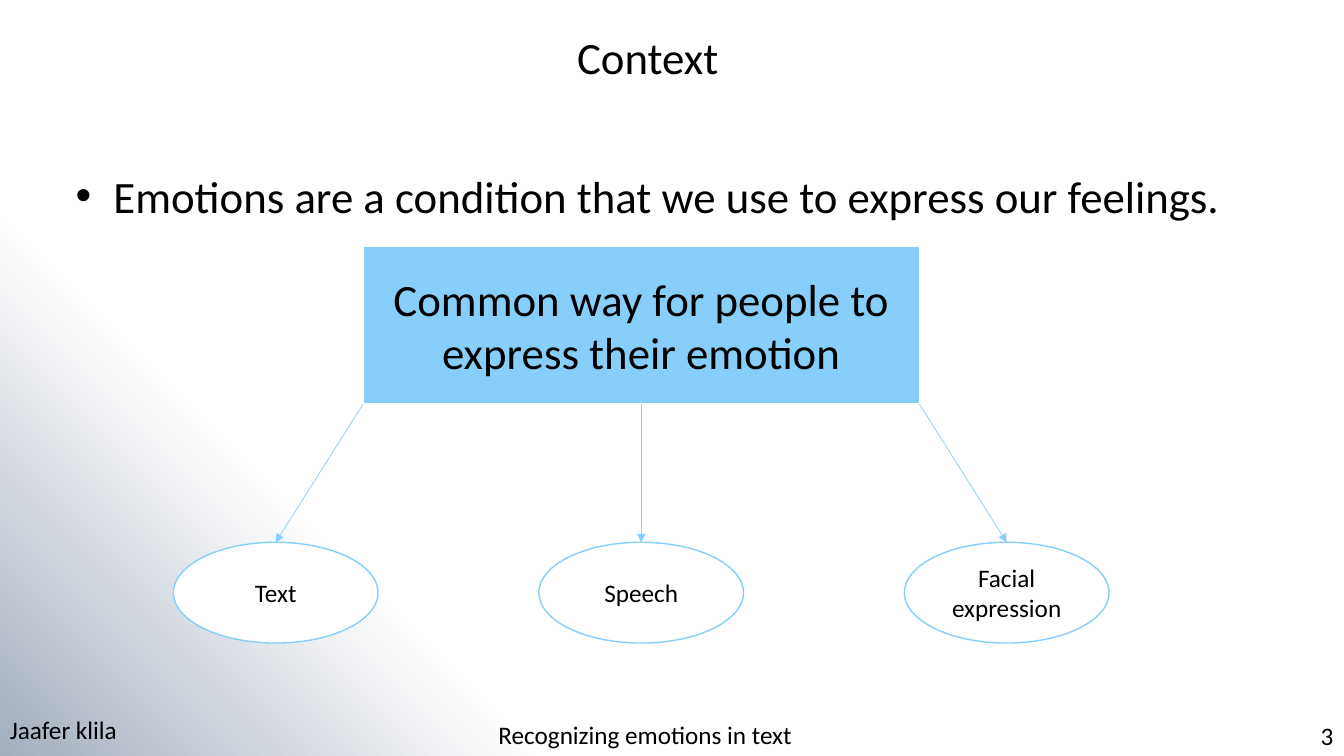
from lxml.etree import SubElement
from pptx import Presentation
from pptx.dml.color import RGBColor
from pptx.enum.shapes import MSO_CONNECTOR, MSO_SHAPE
from pptx.enum.text import MSO_ANCHOR, MSO_AUTO_SIZE, PP_ALIGN
from pptx.oxml.ns import qn
from pptx.util import Inches, Pt

SKY, WHITE, BLACK, SLATE = "87CEFA", "FFFFFF", "000000", "A3AEBD"


def color(hex_code):
    """Turn a hex string into a colour."""
    return RGBColor.from_string(hex_code)


def write(shape, text, size, align=PP_ALIGN.LEFT, anchor=MSO_ANCHOR.TOP, wrap=True):
    """Set and format the single paragraph of a shape."""
    frame = shape.text_frame
    frame.text = text
    frame.word_wrap = wrap
    frame.auto_size = MSO_AUTO_SIZE.NONE
    frame.vertical_anchor = anchor
    paragraph = frame.paragraphs[0]
    paragraph.alignment = align
    paragraph.space_before = Pt(0)
    font = paragraph.runs[0].font
    font.name, font.size = "Calibri", Pt(size)
    font.color.rgb = color(BLACK)


def place(shape, left, top, width, height):
    """Move a shape to a box given in inches."""
    shape.left, shape.top = Inches(left), Inches(top)
    shape.width, shape.height = Inches(width), Inches(height)


def paint_background(slide):
    """Fade the slide from white to slate in the lower left corner."""
    fill = slide.background.fill
    fill.gradient()
    fill.gradient_angle = 225
    for stop, position, shade in zip(fill.gradient_stops, (0.74, 1), (WHITE, SLATE)):
        stop.position = position
        stop.color.rgb = color(shade)


def add_heading(slide, left, top, width):
    """Place the title and the opening statement below it."""
    title, statement = slide.placeholders
    place(title, left, top, width, 0.64)
    write(title, "Context", 32, PP_ALIGN.CENTER)
    place(statement, left + 0.22, top + 1.38, width - 0.11, 0.64)
    properties = statement.text_frame.paragraphs[0]._p.get_or_add_pPr()
    properties.set("marL", "0")
    properties.set("indent", "0")
    SubElement(properties, qn("a:buNone"))
    write(statement, "Emotions are a condition that we use to express our feelings.", 32)


def add_node(slide, kind, box, text, size, fill, outline):
    """Add a filled shape with centred text."""
    node = slide.shapes.add_shape(kind, *map(Inches, box))
    node.shadow.inherit = False
    node.fill.solid()
    node.fill.fore_color.rgb = color(fill)
    node.line.color.rgb = color(outline)
    node.line.width = Pt(1)
    write(node, text, size, PP_ALIGN.CENTER, MSO_ANCHOR.MIDDLE)


def add_arrow(slide, start, end):
    """Add a thin arrow between two points."""
    arrow = slide.shapes.add_connector(MSO_CONNECTOR.STRAIGHT, *map(Inches, start + end))
    arrow.line.color.rgb = color(SKY)
    arrow.line.width = Pt(0.5)
    SubElement(arrow.line._get_or_add_ln(), qn("a:tailEnd"), type="triangle")
    SubElement(arrow._element.spPr, qn("a:effectLst"))


def add_emotion_tree(slide, left, top, width, height):
    """Draw the root box and its three channels within a box."""
    root_width, root_height = 5.52, 1.57
    oval_width, oval_height = 2.03, 1
    center = left + width / 2
    root_bottom = top + root_height
    oval_top = top + height - oval_height
    add_node(slide, MSO_SHAPE.RECTANGLE, (center - root_width / 2, top, root_width, root_height),
             "Common way for people to express their emotion", 32, SKY, WHITE)
    for side, channel in zip((-1, 0, 1), ("Text", "Speech", "Facial expression")):
        oval_center = center + side * (width - oval_width) / 2
        add_node(slide, MSO_SHAPE.OVAL,
                 (oval_center - oval_width / 2, oval_top, oval_width, oval_height),
                 channel, 18, WHITE, SKY)
        add_arrow(slide, (center + side * root_width / 2, root_bottom), (oval_center, oval_top))


def add_footer(slide, top):
    """Write the author, the topic and the page number."""
    entries = (
        ("Jaafer klila", 0, top, 2.8, PP_ALIGN.LEFT, True),
        ("Recognizing emotions in text", 3.6, top + 0.05, 5.6, PP_ALIGN.CENTER, True),
        ("3", 13, top + 0.06, 0.33, PP_ALIGN.LEFT, False),
    )
    for text, left, entry_top, width, align, wrap in entries:
        entry = slide.shapes.add_textbox(*map(Inches, (left, entry_top, width, 0.4)))
        write(entry, text, 18, align, wrap=wrap)


def main():
    """Build and save the slide."""
    deck = Presentation()
    deck.slide_width, deck.slide_height = Inches(13.33), Inches(7.5)
    slide = deck.slides.add_slide(deck.slide_layouts[1])
    paint_background(slide)
    add_heading(slide, 0.43, 0.24, 11.99)
    add_emotion_tree(slide, 1.72, 2.44, 9.28, 3.94)
    add_footer(slide, 7.04)
    deck.save("out.pptx")


if __name__ == "__main__":
    main()
